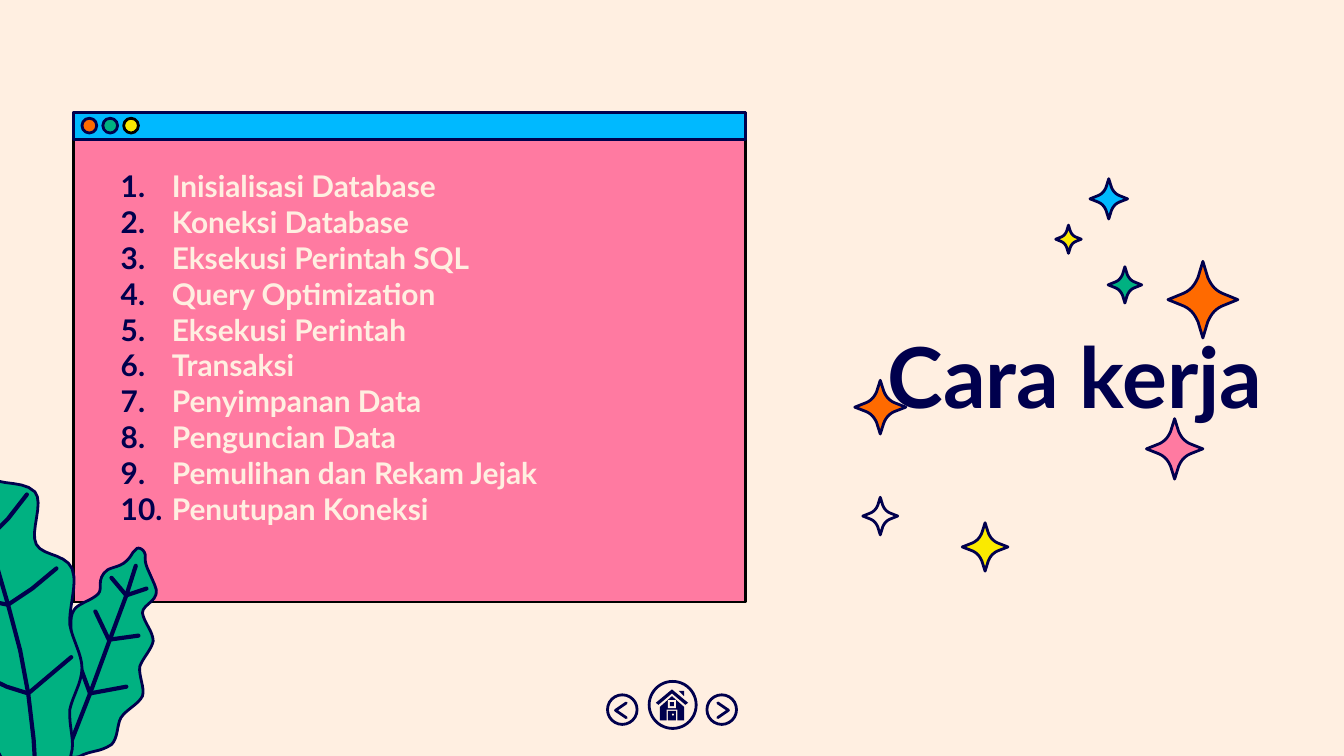
from lxml.etree import SubElement
from pptx import Presentation
from pptx.dml.color import RGBColor
from pptx.enum.shapes import MSO_SHAPE
from pptx.enum.text import MSO_ANCHOR, PP_ALIGN
from pptx.oxml.ns import qn
from pptx.util import Inches, Pt

WIDE = Inches(10)
HIGH = WIDE * 9 // 16
CELL = WIDE // 100

CREAM = RGBColor(0xFF, 0xEF, 0xE1)
NAVY = RGBColor(0x00, 0x00, 0x4D)
BLACK = RGBColor(0x00, 0x00, 0x00)
PINK = RGBColor(0xFF, 0x7A, 0xA1)
BLUE = RGBColor(0x00, 0xB9, 0xFF)
GREEN = RGBColor(0x00, 0xB1, 0x81)
YELLOW = RGBColor(0xFA, 0xEA, 0x00)
ORANGE = RGBColor(0xFF, 0x6A, 0x00)

FRAME = {"word_wrap": True, "vertical_anchor": MSO_ANCHOR.TOP,
         "margin_left": CELL, "margin_right": CELL,
         "margin_top": CELL, "margin_bottom": CELL}
FONT = {"name": "Lato", "bold": True}

STEPS = ["Inisialisasi Database", "Koneksi Database", "Eksekusi Perintah SQL",
         "Query Optimization", "Eksekusi Perintah", "Transaksi",
         "Penyimpanan Data", "Penguncian Data", "Pemulihan dan Rekam Jejak",
         "Penutupan Koneksi"]

STARS = [(87.4, 33.4, 4.2, 4.5, PINK), (79.5, 17.8, 1.9, 2.1, YELLOW),
         (83.7, 21.2, 2.5, 2.7, GREEN), (82.5, 14.8, 2.8, 3, BLUE),
         (89.5, 22.3, 5.2, 5.7, ORANGE), (65.5, 38.4, 2.6, 2.8, None),
         (73.3, 40.7, 3.4, 3.6, YELLOW), (65.5, 30.3, 3.8, 4, ORANGE)]

SMALL = [(10.2, 40.8), (10.5, 40.7), (10.9, 41.1), (10.8, 41.5),
         (10.8, 42.1), (11, 42.3), (11.5, 43.5),
         (12.1, 44.7), (10.6, 44.9), (10.6, 45.6),
         (10.7, 46.3), (11.4, 47), (11.4, 47.7),
         (11.3, 48.3), (10.6, 49), (10.4, 49.6),
         (10.3, 50.3), (10.8, 51.2), (10.6, 51.8),
         (10.3, 52.4), (9.4, 52.8), (9, 53.4),
         (8.7, 53.9), (8.8, 54.9), (8.3, 55.4),
         (7.4, 56), (6.8, 55.8), (5.9, 56.3),
         (5.2, 56.5), (4.6, 56.1), (4.5, 55.3),
         (4.4, 54.8), (3.6, 54.2), (3.6, 53.4),
         (3.5, 52.8), (4.2, 52.1), (4.3, 51.4),
         (4.3, 50.7), (3.8, 49.9), (3.9, 49.3),
         (4, 48.6), (4.9, 48.2), (5.2, 47.5),
         (5.4, 46.9), (5.1, 46), (5.5, 45.4),
         (5.8, 44.9), (6.8, 44.7), (7.3, 44.2),
         (7.7, 43.8), (7.1, 43.1), (8, 42.4),
         (8.6, 42.1), (9.3, 42.2), (9.9, 41.1),
         (10, 41), (10.1, 40.9), (10.2, 40.8)]
BIG = [(-2.8, 33.7), (-2.4, 33.7), (-1.9, 34), (-1.6, 34.7),
       (-0.7, 36.5), (1.5, 35.5), (2.6, 36.6),
       (3.3, 37.4), (2.2, 39.6), (2.7, 40.5),
       (3.2, 41.5), (5.4, 41.1), (5.5, 42.9),
       (5.6, 44), (5.1, 45.5), (5.2, 46.5),
       (5.4, 47.6), (6.1, 48.7), (6.1, 49.7),
       (6.1, 50.8), (5.4, 51.8), (5.2, 52.8),
       (5.1, 54), (5.6, 55.2), (5.3, 56.1),
       (4.9, 57.7), (5.3, 58), (4.4, 58.5),
       (3.5, 58.8), (1.8, 58.2), (1.1, 57.6),
       (0.2, 57), (-0.1, 55.7), (-0.8, 54.9),
       (-1.5, 54.1), (-2.7, 53.6), (-3.2, 52.6),
       (-3.7, 51.7), (-2.8, 49.1), (-3.1, 48.1),
       (-3.4, 47), (-5.2, 45.9), (-5.3, 44.9),
       (-5.4, 43.8), (-3.8, 43.2), (-3.9, 42),
       (-4, 40.8), (-5.7, 40.9), (-5.6, 39),
       (-5.5, 37.8), (-3.8, 37.7), (-3.6, 36.7),
       (-3.5, 36.3), (-3.6, 35.7), (-3.7, 35.3),
       (-3.9, 34.3), (-3.4, 33.7), (-2.8, 33.7)]
LEAVES = [
    (SMALL, [[(10.1, 42.1), (9.4, 44.3), (8.1, 47.8), (6.7, 51.6), (4.2, 58)],
             [(8.3, 43), (9.4, 44.3), (10.9, 43.8)],
             [(7.1, 45.5), (8.1, 47.6), (10.3, 47.3)],
             [(5.6, 48.6), (6.7, 51.6), (9.4, 51.1)]]),
    (BIG, [[(-2.8, 34.7), (-0.8, 40.2), (0.6, 45), (1.5, 48.4), (2.1, 51.6),
            (2.5, 55), (2.7, 58.3)],
           [(-4, 39.1), (-0.9, 40.1), (0.6, 38.6), (2, 36.8)],
           [(-3.5, 44.2), (0.6, 45), (2.4, 43.8), (4.2, 42.3)],
           [(-2.2, 49.8), (0.5, 51.1), (2.1, 51.6), (5.3, 48.9)]]),
]

ROOF = [(50, 51.3), (48.8, 52.3), (49, 52.45), (50, 51.6), (51, 52.45),
        (51.2, 52.3)]
STACK = [(50.5, 51.4), (50.9, 51.4), (50.9, 51.8)]
BODY = [(50, 51.8), (49.1, 52.6), (49.1, 53.6), (49.6, 53.6), (49.6, 52.8),
        (50.4, 52.8), (50.4, 53.6), (50.9, 53.6), (50.9, 52.6)]


def put(item, vals):
    for key, val in vals.items():
        setattr(item, key, val)


def grid(*cells):
    return [round(cell * CELL) for cell in cells]


def paint(shape, fill, line=NAVY, width=1.5):
    shape.shadow.inherit = False
    if fill is None:
        shape.fill.background()
    else:
        shape.fill.solid()
        shape.fill.fore_color.rgb = fill
    if line is None:
        shape.line.fill.background()
        return
    shape.line.color.rgb = line
    shape.line.width = Pt(width)
    stroke = shape.element.spPr.find(qn("a:ln"))
    stroke.set("cap", "rnd")
    SubElement(stroke, qn("a:round"))


def block(slide, kind, box, fill, line=NAVY):
    shape = slide.shapes.add_shape(kind, *grid(*box))
    paint(shape, fill, line)
    return shape


def trace(slide, dots, fill, line=NAVY, width=1.5, close=True):
    first, *rest = [grid(*dot) for dot in dots]
    pen = slide.shapes.build_freeform(*first)
    pen.add_line_segments(rest, close=close)
    paint(pen.convert_to_shape(), fill, line, width)


def curve(dots, steps=8):
    out = [dots[0]]
    for i in range(0, len(dots) - 1, 3):
        for step in range(1, steps + 1):
            t = step / steps
            parts = ((1 - t) ** 3, 3 * t * (1 - t) ** 2,
                     3 * t * t * (1 - t), t ** 3)
            out.append(tuple(sum(p * dot[axis] for p, dot in
                                 zip(parts, dots[i:i + 4])) for axis in (0, 1)))
    return out


def star(slide, x, y, wide, high, fill):
    arm = [(0, -0.5)] + curve([(0.07, -0.29), (0.12, -0.18),
                               (0.19, -0.11), (0.31, -0.07)]) + [(0.5, 0)]
    half = arm + [(a, -b) for a, b in arm[-2::-1]]
    full = half + [(-a, b) for a, b in half[-2:0:-1]]
    trace(slide, [(x + a * wide, y + b * high) for a, b in full], fill)


def write(slide, box, lines, size, color, align):
    frame = slide.shapes.add_textbox(*grid(*box)).text_frame
    put(frame, FRAME)
    frame.text = "\n".join(lines)
    for para in frame.paragraphs:
        para.alignment = align
        font = para.runs[0].font
        put(font, {**FONT, "size": Pt(size)})
        font.color.rgb = color
    return frame


def number(frame, color):
    indent = Inches(0.38)
    for para in frame.paragraphs:
        props = para._p.get_or_add_pPr()
        props.set("marL", str(indent))
        props.set("indent", str(-indent))
        tint = SubElement(props, qn("a:buClr"))
        SubElement(tint, qn("a:srgbClr"), val=str(color))
        SubElement(props, qn("a:buFont"), typeface=FONT["name"])
        SubElement(props, qn("a:buAutoNum"), type="arabicPeriod")


def window(slide):
    block(slide, MSO_SHAPE.RECTANGLE, (5.5, 8.4, 50, 36.4), PINK, BLACK)
    block(slide, MSO_SHAPE.RECTANGLE, (5.5, 8.4, 50, 2), BLUE)
    lights = [(ORANGE, NAVY), (GREEN, NAVY), (YELLOW, BLACK)]
    for i, (fill, line) in enumerate(lights):
        block(slide, MSO_SHAPE.OVAL, (6.1 + i * 1.55, 8.8, 1.1, 1.1), fill, line)


def leaf(slide, edge, veins):
    trace(slide, curve(edge), GREEN)
    for vein in veins:
        trace(slide, vein, None, width=2.25, close=False)


def arrow(slide, left, tip, turn):
    block(slide, MSO_SHAPE.OVAL, (left, 51.7, 2.2, 2.2), CREAM)
    mark = block(slide, MSO_SHAPE.CHEVRON, (tip, 52.3, 0.8, 1.1), NAVY)
    mark.adjustments[0] = 2
    mark.rotation = turn


def home(slide):
    for dots in (STACK, BODY, ROOF):
        trace(slide, dots, NAVY, None)
    for kind, box, fill in [
            (MSO_SHAPE.RECTANGLE, (49.7, 52.1, 0.6, 0.6), CREAM),
            (MSO_SHAPE.RECTANGLE, (49.85, 52.25, 0.3, 0.3), NAVY),
            (MSO_SHAPE.RECTANGLE, (49.7, 52.9, 0.6, 0.7), NAVY),
            (MSO_SHAPE.OVAL, (50, 53.1, 0.15, 0.15), CREAM)]:
        block(slide, kind, box, fill, None)
    block(slide, MSO_SHAPE.OVAL, (48.3, 50.7, 3.5, 3.5), None)


def main():
    deck = Presentation()
    put(deck, {"slide_width": WIDE, "slide_height": HIGH})
    slide = deck.slides.add_slide(deck.slide_layouts[6])
    slide.background.fill.solid()
    slide.background.fill.fore_color.rgb = CREAM
    window(slide)
    write(slide, (64.2, 23.15, 31.6, 8.5), ["Cara kerja"], 45, NAVY,
          PP_ALIGN.CENTER)
    steps = write(slide, (8, 11.5, 54.8, 29.1), STEPS, 16, CREAM, PP_ALIGN.LEFT)
    number(steps, NAVY)
    for row in STARS:
        star(slide, *row)
    for edge, veins in LEAVES:
        leaf(slide, edge, veins)
    arrow(slide, 52.6, 53.4, 0)
    arrow(slide, 45.2, 45.8, 180)
    home(slide)
    deck.save("out.pptx")


if __name__ == "__main__":
    main()
